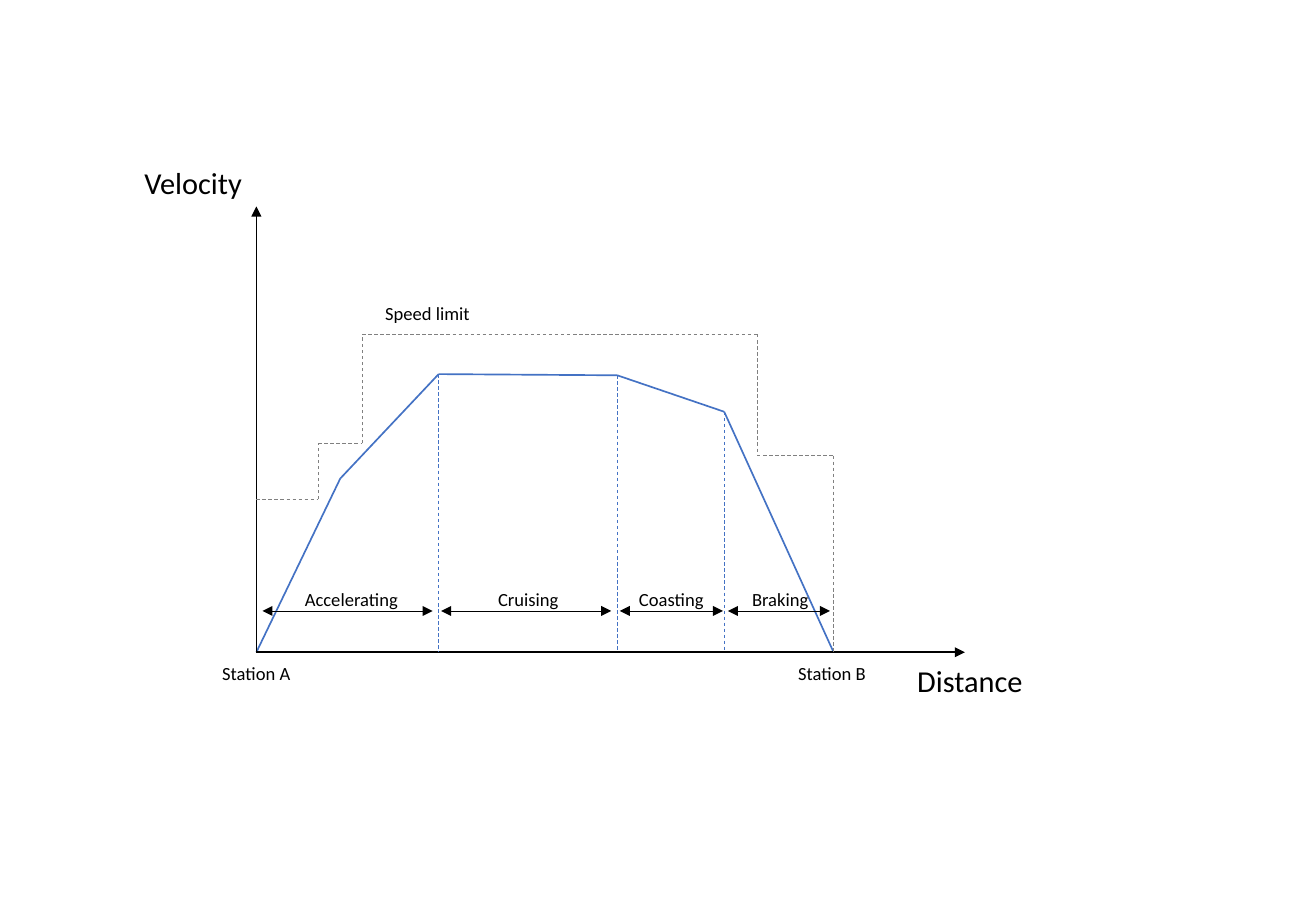
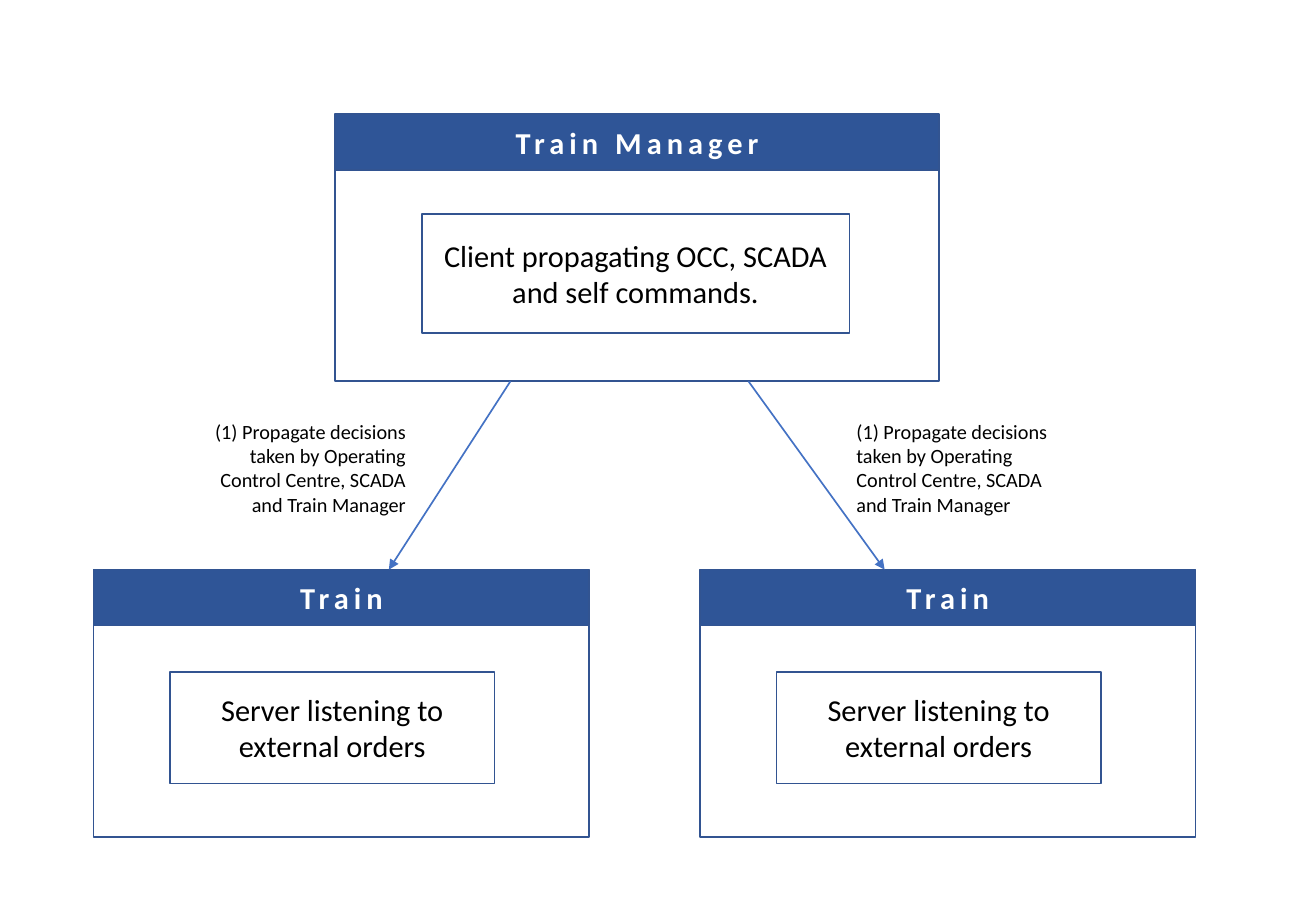
"""Build two slides: a train speed profile and the train manager architecture."""
from dataclasses import dataclass
from itertools import pairwise
from typing import Optional

from lxml.etree import SubElement
from pptx import Presentation
from pptx.dml.color import RGBColor
from pptx.enum.dml import MSO_LINE
from pptx.enum.shapes import MSO_CONNECTOR, MSO_SHAPE
from pptx.enum.text import MSO_ANCHOR, PP_ALIGN
from pptx.oxml.ns import qn
from pptx.presentation import Presentation as Deck
from pptx.shapes.shapetree import _BaseGroupShapes as Shapes
from pptx.slide import Slide
from pptx.text.text import TextFrame
from pptx.util import Inches, Pt

Point = tuple[float, float]


@dataclass(frozen=True)
class Theme:
    """Colours, font and type sizes shared by the slides."""
    font: str = "Calibri"
    black: RGBColor = RGBColor(0x00, 0x00, 0x00)
    white: RGBColor = RGBColor(0xFF, 0xFF, 0xFF)
    grey: RGBColor = RGBColor(0x80, 0x80, 0x80)
    blue: RGBColor = RGBColor(0x44, 0x72, 0xC4)
    header: RGBColor = RGBColor(0x2F, 0x55, 0x97)
    border: RGBColor = RGBColor(0x32, 0x54, 0x91)
    large: float = 18
    note: float = 12
    small: float = 11
    thin: float = 0.5
    normal: float = 1
    tracking: int = 300


THEME = Theme()


@dataclass(frozen=True)
class Box:
    """A rectangle in inches."""
    left: float
    top: float
    width: float
    height: float

    def lengths(self) -> tuple[Inches, Inches, Inches, Inches]:
        """Return the position and size as lengths."""
        return Inches(self.left), Inches(self.top), Inches(self.width), Inches(self.height)


@dataclass(frozen=True)
class Label:
    """A text placed in a box."""
    text: str
    box: Box
    size: float = THEME.small
    align: PP_ALIGN = PP_ALIGN.LEFT


@dataclass(frozen=True)
class Stroke:
    """The look of a line."""
    color: RGBColor
    width: float = THEME.normal
    dashed: bool = False
    arrows: tuple[str, ...] = ()


@dataclass(frozen=True)
class Panel:
    """A titled frame holding one inner box."""
    title: str
    left: float
    top: float
    width: float
    content: str
    inner: Box


HEADER_HEIGHT = 0.46
BODY_HEIGHT = 1.74

CURVE_STROKE = Stroke(THEME.blue)
AXIS_STROKE = Stroke(THEME.black, arrows=("tailEnd",))
PHASE_STROKE = Stroke(THEME.black, THEME.thin, arrows=("headEnd", "tailEnd"))
DROP_STROKE = Stroke(THEME.blue, THEME.thin, dashed=True)
LIMIT_STROKE = Stroke(THEME.grey, THEME.thin, dashed=True)
MESSAGE_STROKE = Stroke(THEME.blue, arrows=("tailEnd",))

ORIGIN: Point = (2.11, 5.37)
CURVE: list[Point] = [ORIGIN, (2.8, 3.94), (3.61, 3.08), (5.08, 3.09), (5.96, 3.39), (6.86, 5.37)]
LIMIT: list[Point] = [(2.11, 4.11), (2.62, 4.11), (2.62, 3.65), (2.98, 3.65), (2.98, 2.75),
                      (6.23, 2.75), (6.23, 3.75), (6.86, 3.75), (6.86, 5.37)]
PHASES: list[Point] = [(2.16, 3.56), (3.63, 5.03), (5.1, 5.95), (5.99, 6.83)]
PHASE_LEVEL = 5.03

CHART_LABELS = [
    Label("Distance", Box(7.45, 5.4, 1.14, 0.4), THEME.large),
    Label("Velocity", Box(1.09, 1.3, 1.14, 0.4), THEME.large),
    Label("Accelerating", Box(2.41, 4.79, 0.99, 0.29)),
    Label("Cruising", Box(4, 4.79, 0.72, 0.29)),
    Label("Coasting", Box(5.16, 4.79, 0.78, 0.29)),
    Label("Braking", Box(6.09, 4.79, 0.68, 0.29)),
    Label("Speed limit", Box(3.07, 2.44, 0.99, 0.29)),
    Label("Station A", Box(1.73, 5.4, 0.79, 0.29)),
    Label("Station B", Box(6.47, 5.4, 0.79, 0.29)),
]

PANELS = [
    Panel("Train Manager", 2.76, 0.94, 4.97,
          "Client propagating OCC, SCADA and self commands.", Box(3.47, 1.76, 3.52, 0.98)),
    *(Panel("Train", left, 4.69, 4.08,
            "Server listening to external orders", Box(left + 0.63, 5.53, 2.67, 0.92))
      for left in (0.77, 5.76)),
]
MESSAGES: list[tuple[Point, Point]] = [((4.2, 3.14), (3.2, 4.69)), ((6.16, 3.14), (7.28, 4.69))]
MESSAGE_TEXT = ("(1) Propagate decisions taken by Operating Control Centre, "
                "SCADA and Train Manager")
MESSAGE_LABELS = [
    Label(MESSAGE_TEXT, Box(left, 3.4, 1.93, 0.91), THEME.note, align)
    for left, align in ((1.51, PP_ALIGN.RIGHT), (6.95, PP_ALIGN.LEFT))
]


def write_text(frame: TextFrame, text: str, size: float, align: PP_ALIGN,
               color: RGBColor = THEME.black, heading: bool = False) -> None:
    """Fill a frame with one formatted paragraph."""
    frame.word_wrap = True
    para = frame.paragraphs[0]
    span = para.add_run()
    span.text = text
    para.alignment = align
    para.font.name = THEME.font
    para.font.size = Pt(size)
    para.font.color.rgb = color
    if heading:
        para.font.bold = True
        span._r.get_or_add_rPr().set("spc", str(THEME.tracking))


def add_label(page: Slide, label: Label) -> None:
    """Add a text box."""
    frame = page.shapes.add_textbox(*label.box.lengths()).text_frame
    write_text(frame, label.text, label.size, label.align)


def add_line(shapes: Shapes, start: Point, end: Point, stroke: Stroke) -> None:
    """Add a straight line with its dash and arrowheads."""
    ends = (Inches(value) for value in (*start, *end))
    connector = shapes.add_connector(MSO_CONNECTOR.STRAIGHT, *ends)
    connector.line.color.rgb = stroke.color
    connector.line.width = Pt(stroke.width)
    if stroke.dashed:
        connector.line.dash_style = MSO_LINE.DASH
    properties = connector._element.spPr
    for arrow in stroke.arrows:
        SubElement(properties.find(qn("a:ln")), qn(f"a:{arrow}"), type="triangle")
    SubElement(properties, qn("a:effectLst"))


def add_path_lines(shapes: Shapes, points: list[Point], stroke: Stroke) -> None:
    """Join successive points with lines."""
    for start, end in pairwise(points):
        add_line(shapes, start, end, stroke)


def add_rectangle(page: Slide, box: Box, text: str = "",
                  fill: Optional[RGBColor] = None) -> None:
    """Add a bordered rectangle; a filled one carries a heading."""
    shape = page.shapes.add_shape(MSO_SHAPE.RECTANGLE, *box.lengths())
    shape.shadow.inherit = False
    shape.line.color.rgb = THEME.border
    shape.line.width = Pt(THEME.normal)
    if fill is None:
        shape.fill.background()
    else:
        shape.fill.solid()
        shape.fill.fore_color.rgb = fill
    if text:
        shape.text_frame.vertical_anchor = MSO_ANCHOR.MIDDLE
        color = THEME.black if fill is None else THEME.white
        write_text(shape.text_frame, text, THEME.large, PP_ALIGN.CENTER, color, fill is not None)


def add_panel(page: Slide, panel: Panel) -> None:
    """Add a header, the body below it and the inner box."""
    body_top = panel.top + HEADER_HEIGHT
    add_rectangle(page, Box(panel.left, body_top, panel.width, BODY_HEIGHT))
    add_rectangle(page, Box(panel.left, panel.top, panel.width, HEADER_HEIGHT),
                  panel.title, THEME.header)
    add_rectangle(page, panel.inner, panel.content)


def add_page(deck: Deck) -> Slide:
    """Add a blank slide."""
    return deck.slides.add_slide(deck.slide_layouts.get_by_name("Blank"))


def build_speed_profile(deck: Deck) -> None:
    """Draw velocity over distance between two stations."""
    page = add_page(deck)
    add_path_lines(page.shapes.add_group_shape().shapes, CURVE, CURVE_STROKE)
    for tip in ((ORIGIN[0], 1.7), (7.94, ORIGIN[1])):
        add_line(page.shapes, ORIGIN, tip, AXIS_STROKE)
    for left, top in CURVE[2:5]:
        add_line(page.shapes, (left, top), (left, ORIGIN[1]), DROP_STROKE)
    for left, right in PHASES:
        add_line(page.shapes, (left, PHASE_LEVEL), (right, PHASE_LEVEL), PHASE_STROKE)
    add_path_lines(page.shapes, LIMIT, LIMIT_STROKE)
    for label in CHART_LABELS:
        add_label(page, label)


def build_architecture(deck: Deck) -> None:
    """Draw the train manager commanding two trains."""
    page = add_page(deck)
    for panel in PANELS:
        add_panel(page, panel)
    for start, end in MESSAGES:
        add_line(page.shapes, start, end, MESSAGE_STROKE)
    for label in MESSAGE_LABELS:
        add_label(page, label)


def main() -> None:
    """Build and save the deck."""
    deck = Presentation()
    deck.slide_width = Inches(10.83)
    deck.slide_height = Inches(7.5)
    build_speed_profile(deck)
    build_architecture(deck)
    deck.save("out.pptx")


if __name__ == "__main__":
    main()
